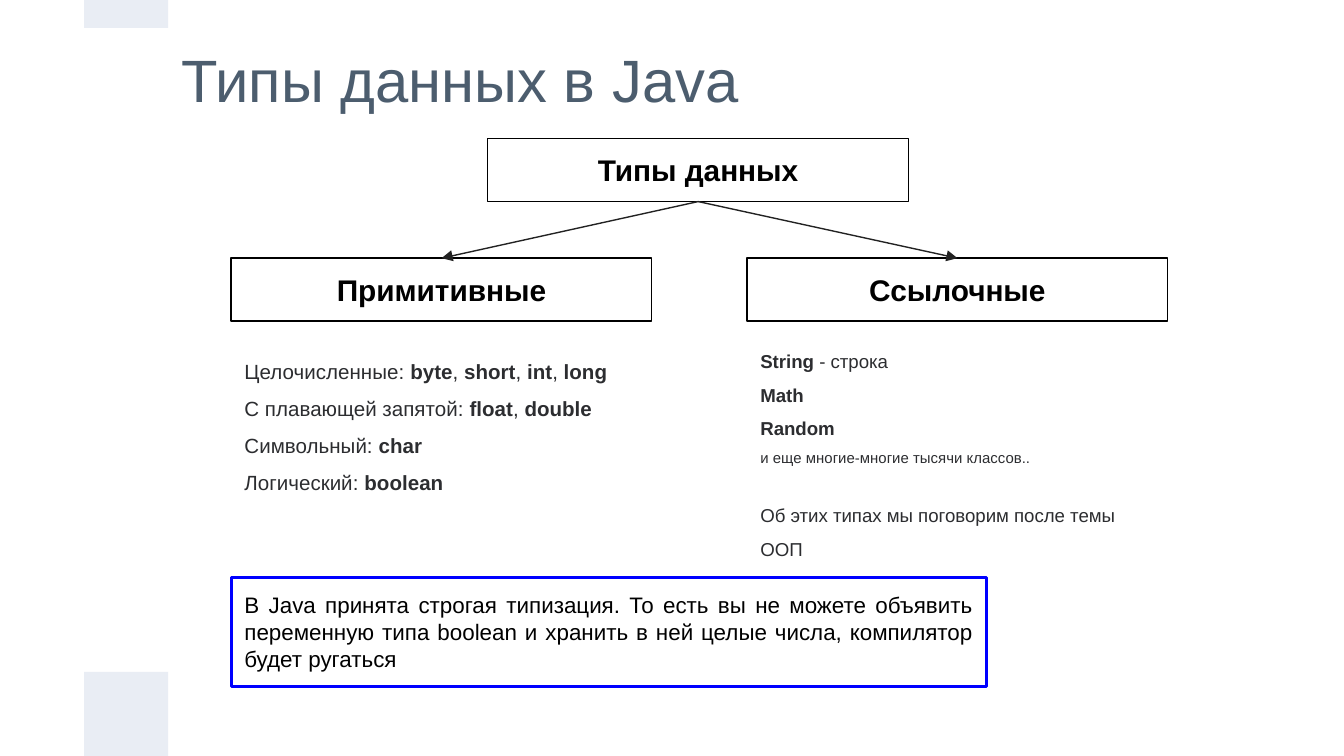
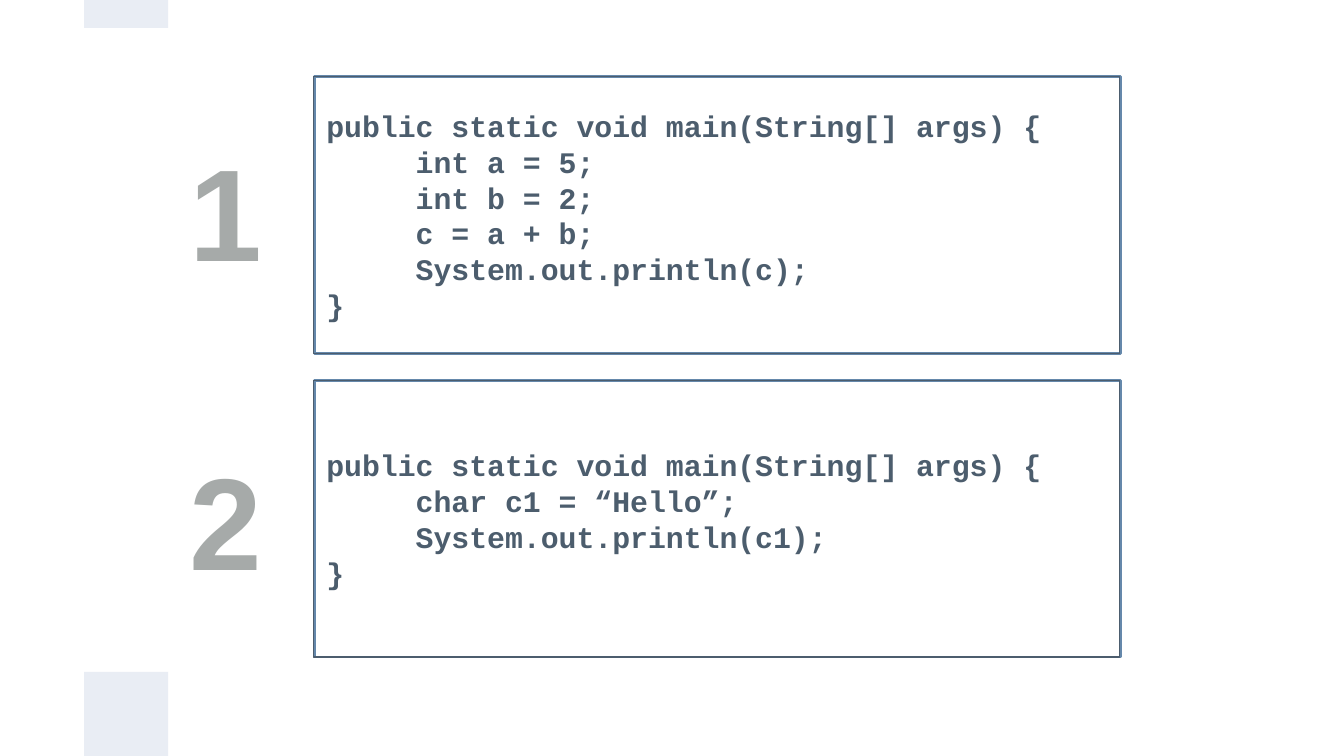
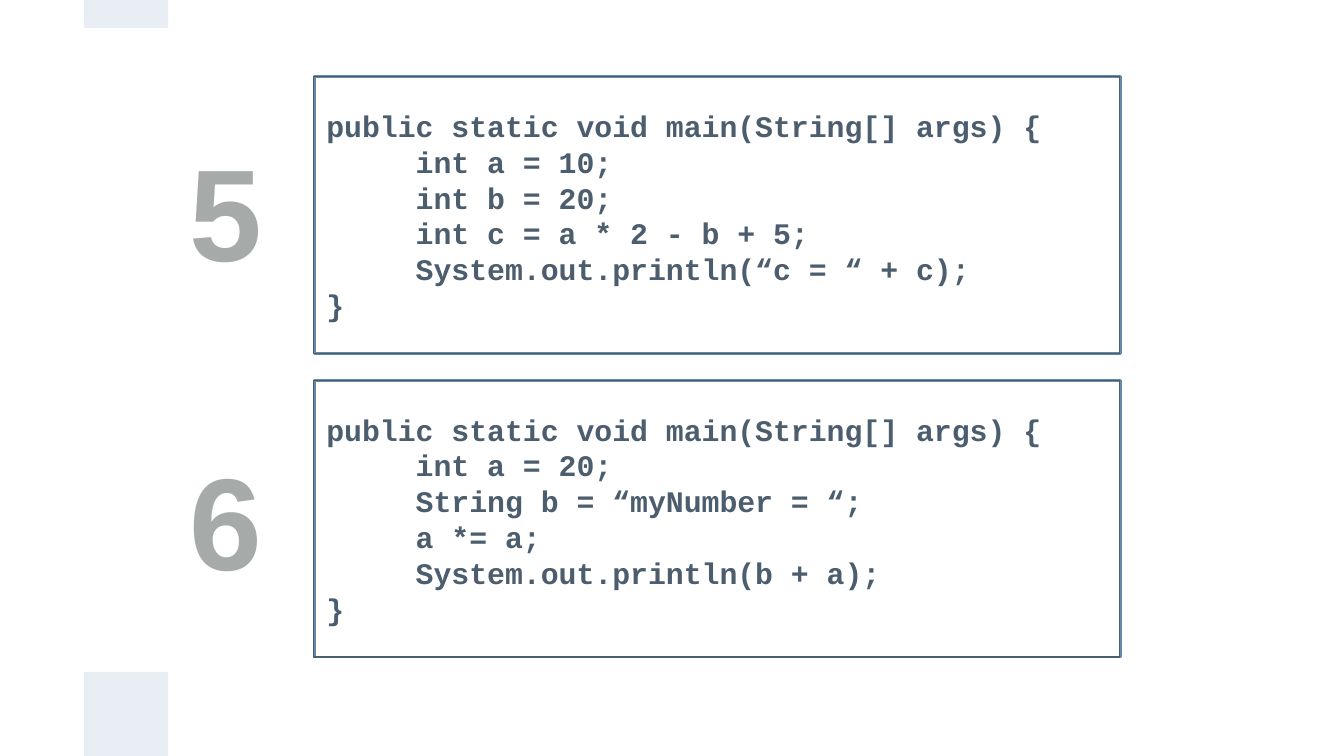
from dataclasses import dataclass

from lxml import etree
from pptx import Presentation
from pptx import util as u
from pptx.dml.color import RGBColor
from pptx.enum import shapes, text
from pptx.oxml.ns import qn


@dataclass(frozen=True)
class Theme:
    sans: str = "Arial"
    mono: str = "Courier New"
    band: str = "E9EDF4"
    slate: str = "4C5D6E"
    code: str = "4C5D6D"
    steel: str = "6588AB"
    ink: str = "2C2D30"
    black: str = "000000"
    blue: str = "0000FF"
    arrow: str = "222222"
    gray: str = "A6AAA9"
    title: int = 32
    head: int = 16
    note: int = 12
    list: int = 11
    small: int = 10
    tiny: int = 8
    digit: int = 70
    thin: float = 0.75
    thick: float = 1.5


T = Theme()
LEFT, MID, JUST = text.PP_ALIGN.LEFT, text.PP_ALIGN.CENTER, text.PP_ALIGN.JUSTIFY
TOP, CENTRE = text.MSO_ANCHOR.TOP, text.MSO_ANCHOR.MIDDLE


def cm(*vals):
    return [u.Cm(v) for v in vals]


def rgb(code):
    return RGBColor.from_string(code)


# Text: backticks in a line switch bold on and off
def write(shape, lines, anchor=TOP, **base):
    frame = shape.text_frame
    frame.word_wrap = True
    frame.auto_size = text.MSO_AUTO_SIZE.NONE
    frame.vertical_anchor = anchor
    frame.margin_left = frame.margin_right = u.Cm(0.25)
    frame.margin_top = frame.margin_bottom = u.Cm(0.25)
    for i, line in enumerate(lines):
        words, extra = (line, {}) if isinstance(line, str) else line
        fmt = {"font": T.sans, "size": T.head, "color": T.black, "bold": False,
               "align": LEFT, "gap": 1.0, "before": 0, **base, **extra}
        para = frame.paragraphs[0] if i == 0 else frame.add_paragraph()
        if shape.is_placeholder:
            props = para._p.get_or_add_pPr()
            props.set("marL", "0")
            props.set("indent", "0")
            etree.SubElement(props, qn("a:buNone"))
        para.alignment = fmt["align"]
        para.line_spacing = fmt["gap"]
        para.space_before = u.Pt(fmt["before"])
        for n, part in enumerate(words.split("`")):
            if part:
                run = para.add_run()
                run.text = part
                run.font.name = fmt["font"]
                run.font.size = u.Pt(fmt["size"])
                run.font.bold = fmt["bold"] != (n % 2 == 1)
                run.font.color.rgb = rgb(fmt["color"])


# Shapes
def rect(slide, at, fill=None, line=None, width=T.thin):
    shape = slide.shapes.add_shape(shapes.MSO_SHAPE.RECTANGLE, *cm(*at))
    shape.shadow.inherit = False
    if fill:
        shape.fill.solid()
        shape.fill.fore_color.rgb = rgb(fill)
    else:
        shape.fill.background()
    if line:
        shape.line.color.rgb = rgb(line)
        shape.line.width = u.Pt(width)
    else:
        shape.line.fill.background()
    return shape


def head(slide, left, top, words):
    box = rect(slide, (left, top, 7.95, 1.19), line=T.black)
    write(box, [words], bold=True, align=MID)
    return box


def arrow(slide, start, end):
    line = slide.shapes.add_connector(shapes.MSO_CONNECTOR.STRAIGHT, 0, 0, 0, 0)
    line.begin_connect(start, 2)
    line.end_connect(end, 0)
    line.line.color.rgb = rgb(T.arrow)
    line.line.width = u.Pt(T.thin)
    etree.SubElement(line.line._get_or_add_ln(), qn("a:tailEnd"), type="triangle")
    etree.SubElement(line._element.spPr, qn("a:effectLst"))


def holder(slide, idx, at, lines, **fmt):
    shape = slide.placeholders[idx]
    shape.left, shape.top, shape.width, shape.height = cm(*at)
    write(shape, lines, **fmt)


# Bands shared by all slides live on the master
def bands(deck, slide):
    tree = deck.slide_master.shapes.element
    for i, (top, high) in enumerate([(0, 0.53), (12.7, 1.59)]):
        band = rect(slide, (1.59, top, 1.59, high), fill=T.band).element
        band.nvSpPr.cNvPr.set("id", str(20 + i))
        tree.insert(2, band)


# Slide with the tree of data types
def types(deck):
    slide = deck.slides.add_slide(deck.slide_layouts[3])
    bands(deck, slide)
    holder(slide, 0, (3.18, 0.58, 19.05, 1.8), ["Типы данных в Java"],
           anchor=CENTRE, size=T.title, color=T.slate)
    root = head(slide, 9.22, 2.62, "Типы данных")
    for left, words in [(4.37, "Примитивные"), (14.12, "Ссылочные")]:
        arrow(slide, root, head(slide, left, 4.88, words))
    holder(slide, 1, (4.37, 6.3, 8.33, 3.1), [
        "Целочисленные: `byte`, `short`, `int`, `long`",
        "С плавающей запятой: `float`, `double`",
        "Символьный: `char`",
        "Логический: `boolean`",
    ], size=T.list, color=T.ink, gap=1.5)
    holder(slide, 2, (14.12, 6.3, 7.95, 4.39), [
        "`String `- строка",
        "`Math`",
        "`Random`",
        ("и еще многие-многие тысячи классов..", {"size": T.tiny}),
        ("Об этих типах мы поговорим после темы ООП", {"before": 14}),
    ], anchor=CENTRE, size=T.small, color=T.ink, gap=1.5)
    note = rect(slide, (4.37, 10.92, 14.28, 2.06), line=T.blue, width=T.thick)
    write(note, ["В Java принята строгая типизация. То есть вы не можете объявить "
                 "переменную типа boolean и хранить в ней целые числа, компилятор "
                 "будет ругаться"], size=T.note, align=JUST)


# Slide with two numbered code tasks
def tasks(deck, first, codes):
    slide = deck.slides.add_slide(deck.slide_layouts[6])
    wide, high = 15.24, 5.23
    for i, body in enumerate(codes):
        top = 1.45 + i * 5.74
        rect(slide, (5.94, top, wide, high), line=T.steel, width=T.thick)
        box = rect(slide, (5.92, top, wide, high), line=T.slate)
        lines = ["public static void main(String[] args) {",
                 *("     " + row for row in body), "}"]
        write(box, lines, anchor=CENTRE, font=T.mono, color=T.code, bold=True)
        mark = slide.shapes.add_textbox(*cm(3.02, 1.35 + i * 5.84, 2.51, high))
        write(mark, [str(first + i)], anchor=CENTRE, size=T.digit,
              color=T.gray, bold=True, align=MID)


def main():
    deck = Presentation()
    deck.slide_width, deck.slide_height = cm(25.4, 14.29)
    types(deck)
    tasks(deck, 1, [
        ["int a = 5;", "int b = 2;", "c = a + b;", "System.out.println(c);"],
        ["char c1 = “Hello”;", "System.out.println(c1);"],
    ])
    tasks(deck, 5, [
        ["int a = 10;", "int b = 20;", "int c = a * 2 - b + 5;",
         "System.out.println(“c = “ + c);"],
        ["int a = 20;", "String b = “myNumber = “;", "a *= a;",
         "System.out.println(b + a);"],
    ])
    deck.save("out.pptx")


if __name__ == "__main__":
    main()
